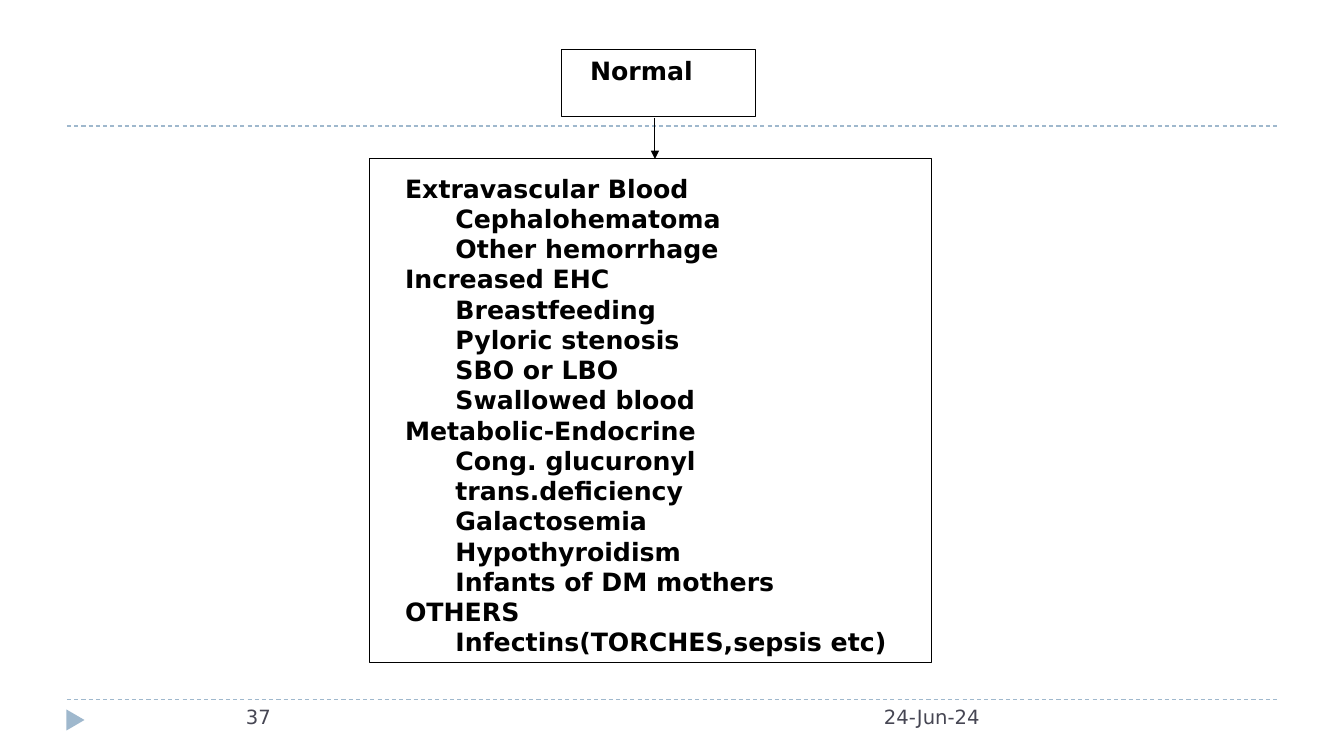
from lxml import etree
from pptx import Presentation
from pptx import util as u
from pptx.dml.color import RGBColor
from pptx.enum import dml, shapes, text
from pptx.oxml import ns

PX = 914400 / 100.8
BLACK = RGBColor(0x00, 0x00, 0x00)
SLATE = RGBColor(0x46, 0x46, 0x53)
MIST = RGBColor(0x9F, 0xB8, 0xCD)
FONT = "DejaVu Sans"


def px(*lengths):
    return [u.Emu(round(length * PX)) for length in lengths]


def write(box, lines, size=18, color=BLACK, bold=True, wrap=True):
    frame = box.text_frame
    frame.auto_size = text.MSO_AUTO_SIZE.NONE
    frame.word_wrap = wrap
    frame.vertical_anchor = text.MSO_ANCHOR.TOP
    for index, (level, line) in enumerate(lines):
        para = frame.add_paragraph() if index else frame.paragraphs[0]
        para.text = line
        para.level = level
        para.alignment = text.PP_ALIGN.LEFT
        para.line_spacing = 1.0
        para.space_before = para.space_after = u.Pt(0)
        props = para._p.get_or_add_pPr()
        props.set("marL", str(level * 457200))
        props.set("indent", "0")
        etree.SubElement(props, ns.qn("a:buNone"))
        for span in para.runs:
            span.font.name = FONT
            span.font.size = u.Pt(size)
            span.font.bold = bold
            span.font.color.rgb = color


deck = Presentation()
deck.slide_width, deck.slide_height = px(1344, 756)
page = deck.slides.add_slide(deck.slide_layouts[1])

connectors = [
    ((67, 700, 1277, 700), MIST, True),
    ((67, 126, 1277, 126), MIST, True),
    ((655, 118, 655, 159), BLACK, False),
]
for ends, color, is_rule in connectors:
    line = page.shapes.add_connector(shapes.MSO_CONNECTOR.STRAIGHT, *px(*ends))
    line.line.color.rgb = color
    line.line.width = u.Pt(0.75)
    if is_rule:
        line.line.dash_style = dml.MSO_LINE.DASH
    else:
        etree.SubElement(line.line._get_or_add_ln(), ns.qn("a:tailEnd"), type="triangle")
    etree.SubElement(line._element.spPr, ns.qn("a:effectLst"))

marker = page.shapes.add_shape(shapes.MSO_SHAPE.ISOSCELES_TRIANGLE, *px(65, 711, 21, 18))
marker.rotation = 90
marker.shadow.inherit = False
marker.fill.solid()
marker.fill.fore_color.rgb = MIST
marker.line.fill.background()

for place in [(562, 50, 194, 67), (370, 159, 562, 504)]:
    outline = page.shapes.add_shape(shapes.MSO_SHAPE.RECTANGLE, *px(*place))
    outline.shadow.inherit = False
    outline.fill.background()
    outline.line.color.rgb = BLACK
    outline.line.width = u.Pt(0.75)

title = page.shapes.title
title.left, title.top, title.width, title.height = px(580, 50, 176, 40)
write(title, [(0, "Normal")])

causes = {
    "Extravascular Blood": ["Cephalohematoma", "Other hemorrhage"],
    "Increased EHC": ["Breastfeeding", "Pyloric stenosis", "SBO or LBO", "Swallowed blood"],
    "Metabolic-Endocrine": [
        "Cong. glucuronyl\vtrans.deficiency",
        "Galactosemia",
        "Hypothyroidism",
        "Infants of DM mothers",
    ],
    "OTHERS": ["Infectins(TORCHES,sepsis etc)"],
}
lines = []
for group, members in causes.items():
    lines.append((0, group))
    lines.extend((1, member) for member in members)
body = page.placeholders[1]
body.left, body.top, body.width, body.height = px(395, 168, 544, 495)
write(body, lines, wrap=False)

for place, label in [((874, 700, 252, 40), "24-Jun-24"), ((236, 700, 219, 40), "37")]:
    box = page.shapes.add_textbox(*px(*place))
    write(box, [(0, label)], size=14, color=SLATE, bold=False)

deck.save("out.pptx")
